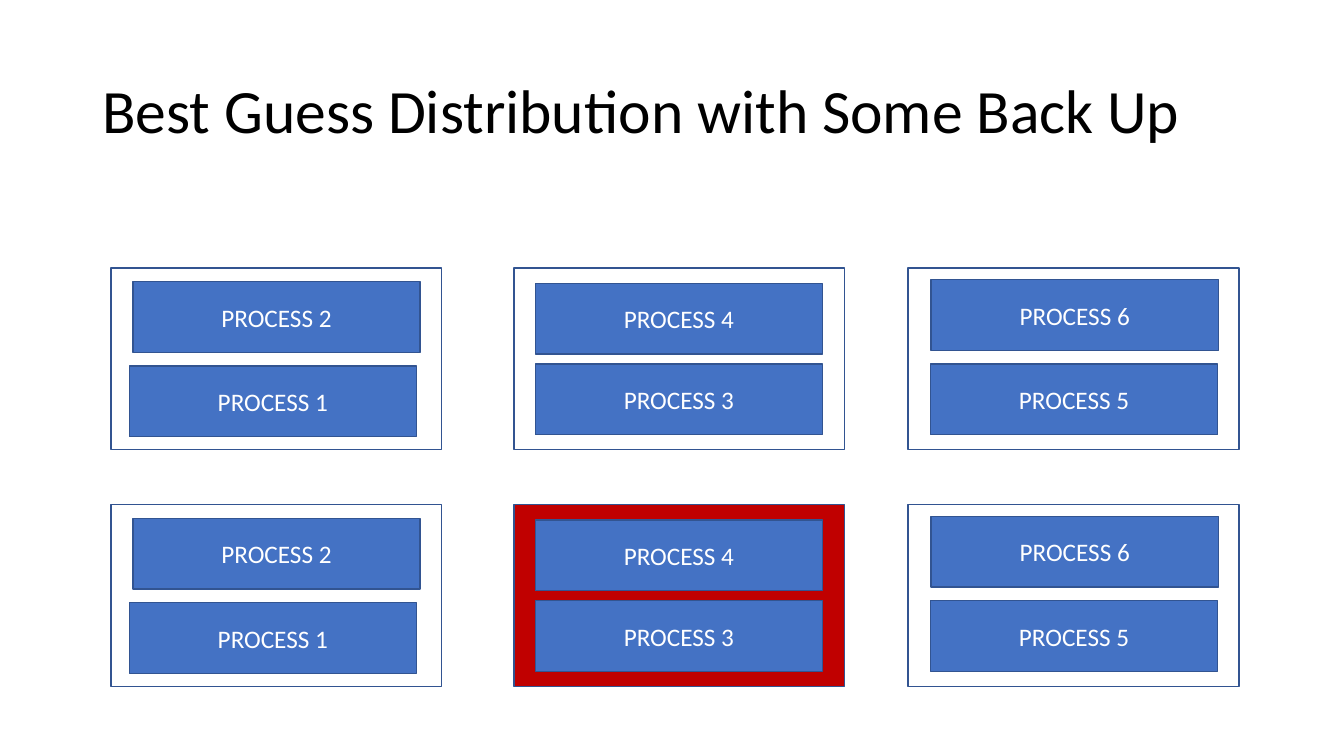
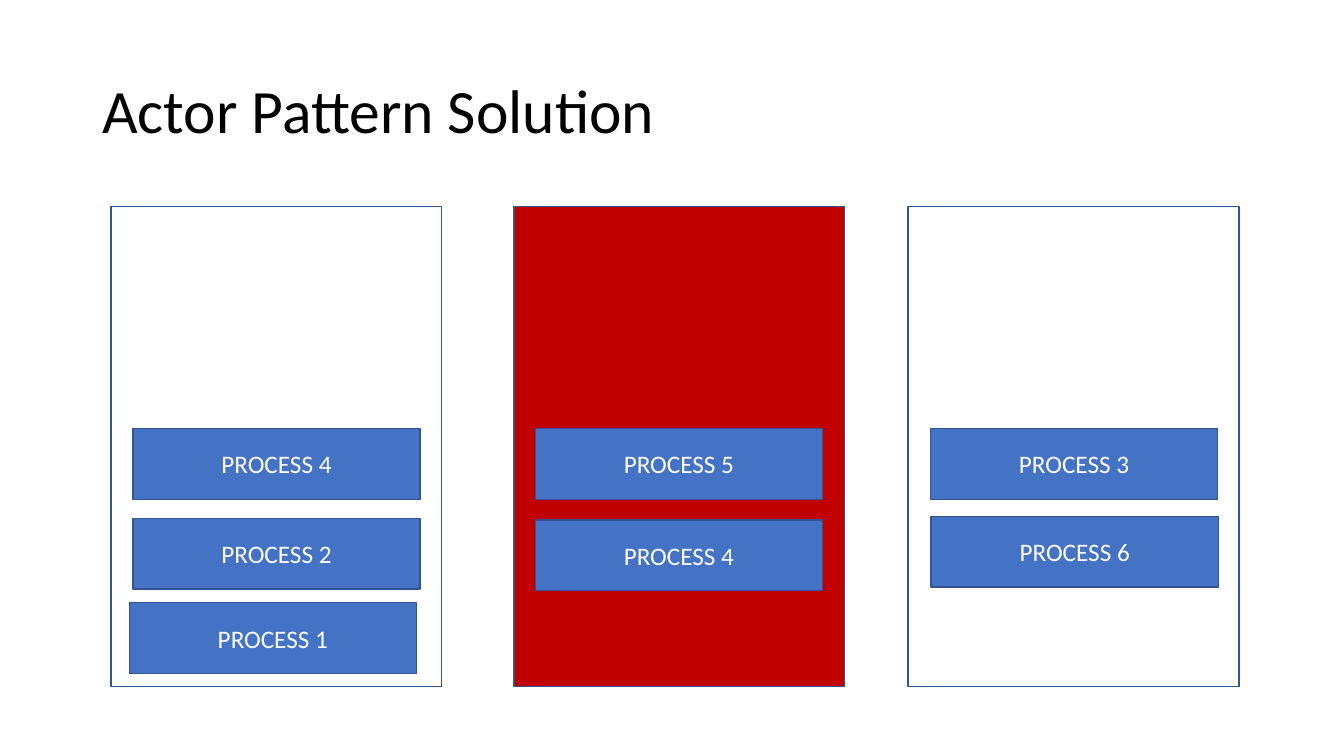
from pptx import Presentation
from pptx.dml.color import RGBColor
from pptx.enum import shapes, text
from pptx.util import Pt

COLORS = {"title": "000000", "process": "4472C4", "border": "325491",
          "label": "FFFFFF", "failed": "C00000"}
FONT = "Calibri"

NODE_LEFTS = (79.2, 367.2, 648.7)
NODE_WIDTH, NODE_HEIGHT = 236.2, 129.6
ROW_TOPS = (191.6, 360.6)
TALL_TOP = 147.5
FAILED_COLUMN = 1

# Per column: (left, offset from the row top) of each process slot.
LOWER = ((92.3, 69.8), (382.3, 68.4), (664.6, 68.4))
UPPER = ((94.9, 9.6), (382.3, 10.8), (665.1, 8.2))
ABOVE = ((94.9, -54.6), (382.3, -54.6), (664.6, -54.6))


class Deck:
    def __init__(self):
        self.presentation = Presentation()
        self.presentation.slide_width = Pt(960)
        self.presentation.slide_height = Pt(540)
        self.slide = None

    def add_slide(self, title):
        blank = self.presentation.slide_layouts[6]
        self.slide = self.presentation.slides.add_slide(blank)
        heading = self.slide.shapes.add_textbox(Pt(66), Pt(28.8), Pt(828), Pt(104.4))
        self.set_text(heading, title, 44, "title", text.PP_ALIGN.LEFT)
        heading.text_frame.paragraphs[0].line_spacing = 0.9

    def set_text(self, shape, words, size, color, align):
        frame = shape.text_frame
        frame.word_wrap = True
        frame.vertical_anchor = text.MSO_ANCHOR.MIDDLE
        paragraph = frame.paragraphs[0]
        paragraph.text = words
        paragraph.alignment = align
        paragraph.font.name = FONT
        paragraph.font.size = Pt(size)
        paragraph.font.color.rgb = RGBColor.from_string(COLORS[color])

    def box(self, left, top, width, height, fill=None):
        """Add a bordered rectangle, hollow unless a fill is named."""
        box = self.slide.shapes.add_shape(
            shapes.MSO_SHAPE.RECTANGLE, Pt(left), Pt(top), Pt(width), Pt(height))
        box.shadow.inherit = False
        if fill:
            box.fill.solid()
            box.fill.fore_color.rgb = RGBColor.from_string(COLORS[fill])
        else:
            box.fill.background()
        box.line.color.rgb = RGBColor.from_string(COLORS["border"])
        box.line.width = Pt(1)
        return box

    def nodes(self, top, height, failed=None):
        """Add one row of nodes, with the failed column in red."""
        for column, left in enumerate(NODE_LEFTS):
            self.box(left, top, NODE_WIDTH, height,
                     "failed" if column == failed else None)

    def processes(self, row_top, slots, numbers):
        """Add one numbered process per column; None leaves its slot empty."""
        for (left, offset), number in zip(slots, numbers):
            if number is not None:
                process = self.box(left, row_top + offset, 205.2, 50.6, "process")
                self.set_text(process, f"PROCESS {number}", 18, "label",
                              text.PP_ALIGN.CENTER)


def main():
    deck = Deck()

    deck.add_slide("Best Guess Distribution with Some Back Up")
    for row_top, failed in zip(ROW_TOPS, (None, FAILED_COLUMN)):
        deck.nodes(row_top, NODE_HEIGHT, failed)
        deck.processes(row_top, LOWER, (1, 3, 5))
        deck.processes(row_top, UPPER, (2, 4, 6))

    deck.add_slide("Actor Pattern Solution")
    bottom_row = ROW_TOPS[-1]
    deck.nodes(TALL_TOP, bottom_row + NODE_HEIGHT - TALL_TOP, FAILED_COLUMN)
    deck.processes(bottom_row, LOWER, (1, None, None))
    deck.processes(bottom_row, UPPER, (2, 4, 6))
    deck.processes(bottom_row, ABOVE, (4, 5, 3))

    deck.presentation.save("out.pptx")


if __name__ == "__main__":
    main()
